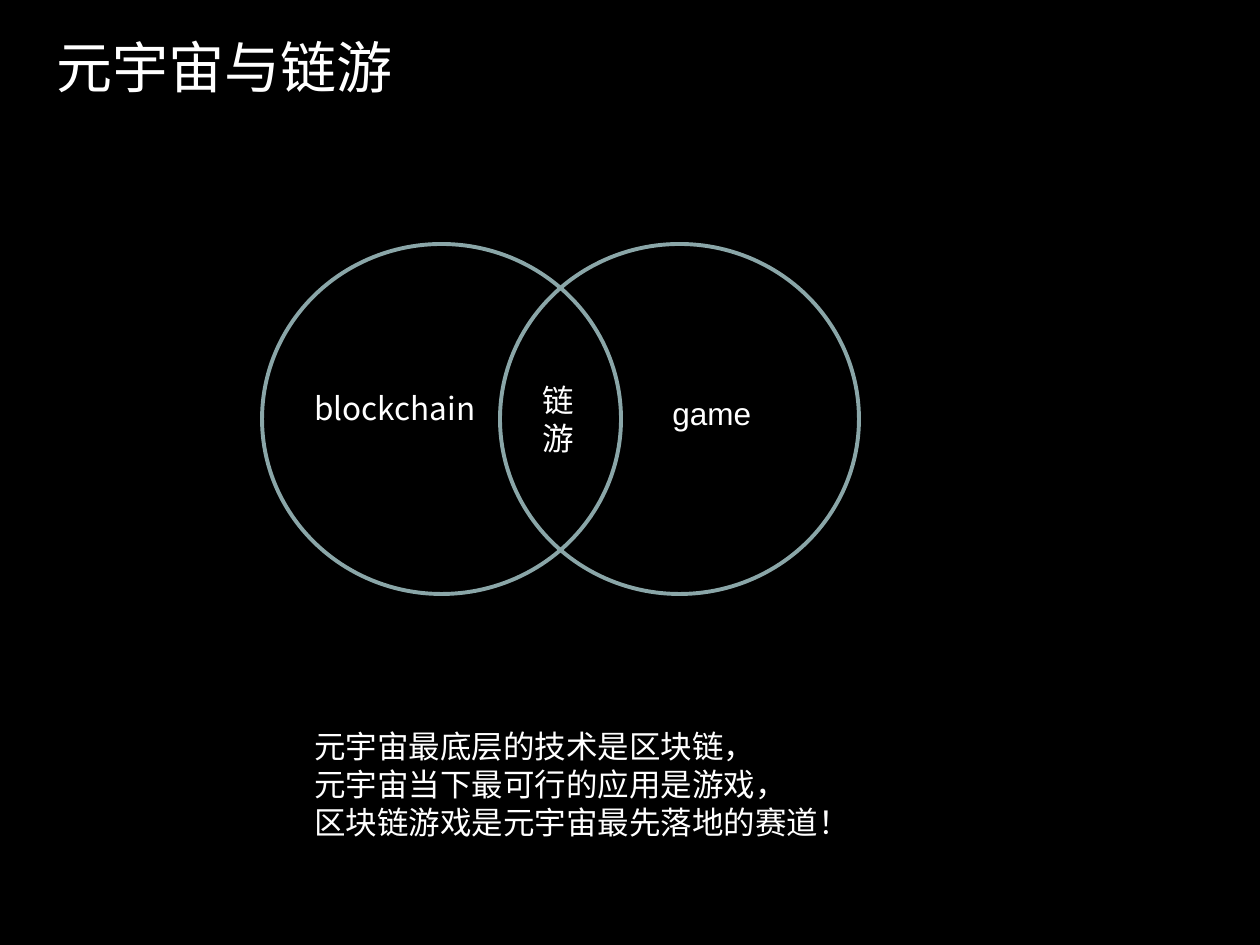
import pptx
import pptx.util
import pptx.dml.color
import pptx.enum.shapes
import pptx.enum.text
import pptx.oxml

SCALE = 914400 / 126  # EMU per pixel
BLACK = pptx.dml.color.RGBColor(0x00, 0x00, 0x00)
WHITE = pptx.dml.color.RGBColor(0xFF, 0xFF, 0xFF)
RING = pptx.dml.color.RGBColor(0x8A, 0xA6, 0xA8)
CJK_FONT = "Noto Sans CJK SC"
EAST_ASIAN = (
    '<a:ea xmlns:a="http://schemas.openxmlformats.org/drawingml/2006/main"'
    f' typeface="{CJK_FONT}"/>'
)


def emu(*pixels):
    return [pptx.util.Emu(round(value * SCALE)) for value in pixels]


def write_text(shape, lines, size, font_name=CJK_FONT):
    frame = shape.text_frame
    frame.word_wrap = True
    frame.auto_size = pptx.enum.text.MSO_AUTO_SIZE.SHAPE_TO_FIT_TEXT
    frame.vertical_anchor = pptx.enum.text.MSO_ANCHOR.TOP
    for index, line in enumerate(lines):
        paragraph = frame.add_paragraph() if index else frame.paragraphs[0]
        paragraph.alignment = pptx.enum.text.PP_ALIGN.LEFT
        run = paragraph.add_run()
        run.text = line
        run.font.size = pptx.util.Pt(size)
        run.font.color.rgb = WHITE
        run.font.name = font_name
        latin = run.font._element.find(pptx.oxml.ns.qn("a:latin"))
        latin.addnext(pptx.oxml.parse_xml(EAST_ASIAN))


def add_title(slide, left, top, width, height):
    title = slide.shapes.title
    title.left, title.top, title.width, title.height = emu(left, top, width, height)
    write_text(title, ["元宇宙与链游"], 32)


def add_label(slide, left, top, width, height, lines, font_name=CJK_FONT):
    label = slide.shapes.add_textbox(*emu(left, top, width, height))
    write_text(label, lines, 18, font_name)


def add_venn(slide, left, top, width, height):
    # Two overlapping rings, flush with the sides of the box
    diameter = 359
    for ring_left in (left + width - diameter, left):
        ring = slide.shapes.add_shape(
            pptx.enum.shapes.MSO_SHAPE.OVAL, *emu(ring_left, top, diameter, height)
        )
        ring.shadow.inherit = False
        ring.fill.background()
        ring.line.color.rgb = RING
        ring.line.width = pptx.util.Pt(2.25)

    # Labels of the two sets and of their overlap
    add_label(slide, left + 40, top + 139, 189, 50, ["blockchain"])
    add_label(slide, left + 398, top + 144, 189, 50, ["game"], "Arial")
    add_label(slide, left + 268, top + 131, 77, 89, ["链游"])


def add_conclusion(slide, left, top, width, height):
    lines = [
        "元宇宙最底层的技术是区块链，",
        "元宇宙当下最可行的应用是游戏，",
        "区块链游戏是元宇宙最先落地的赛道！",
    ]
    add_label(slide, left, top, width, height, lines)


def build():
    presentation = pptx.Presentation()
    presentation.slide_width, presentation.slide_height = emu(1260, 945)
    slide = presentation.slides.add_slide(presentation.slide_layouts[5])
    slide.background.fill.solid()
    slide.background.fill.fore_color.rgb = BLACK

    add_title(slide, 44, 26, 728, 81)
    add_venn(slide, 262, 244, 597, 350)
    add_conclusion(slide, 302, 721, 552, 127)
    presentation.save("out.pptx")


build()
